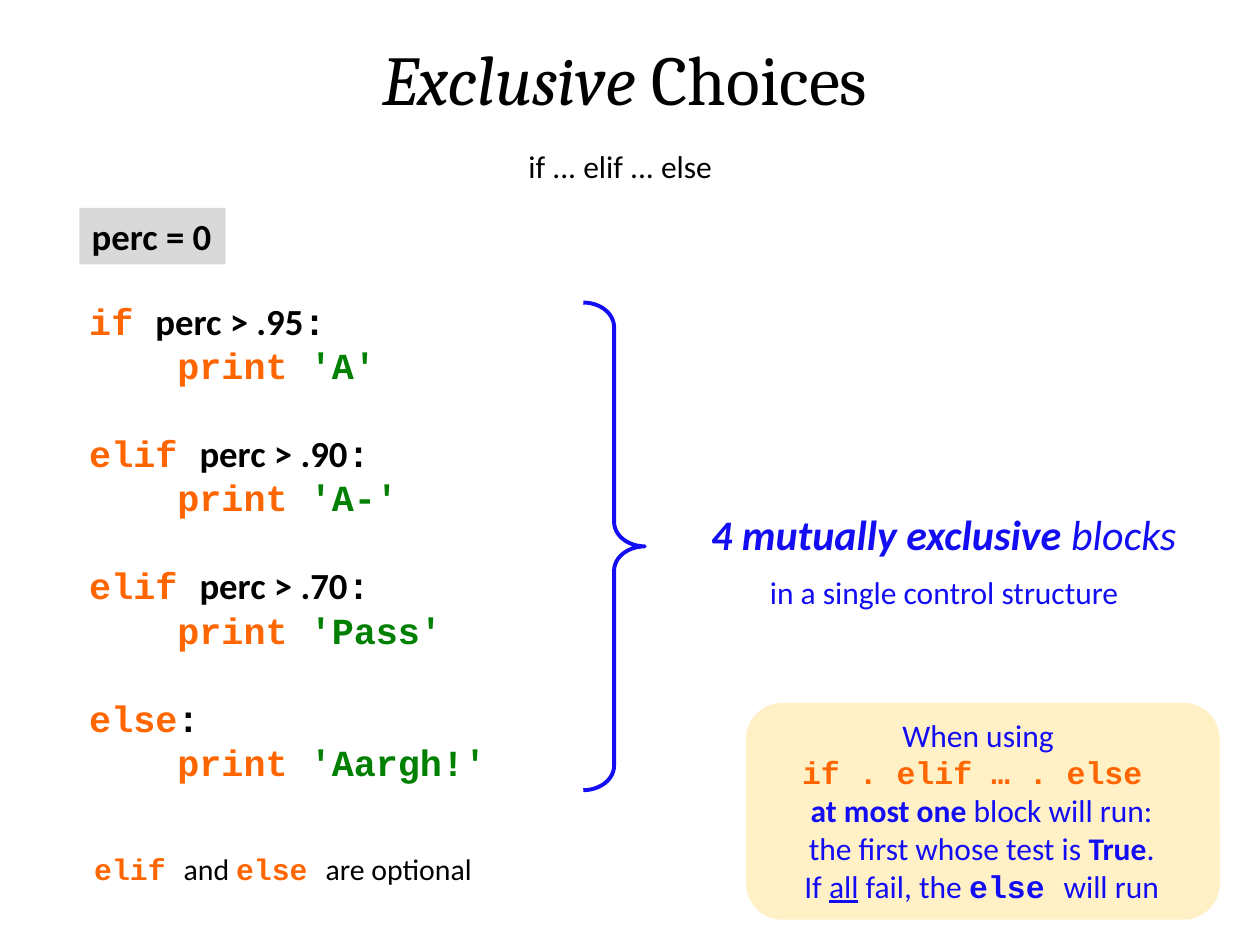
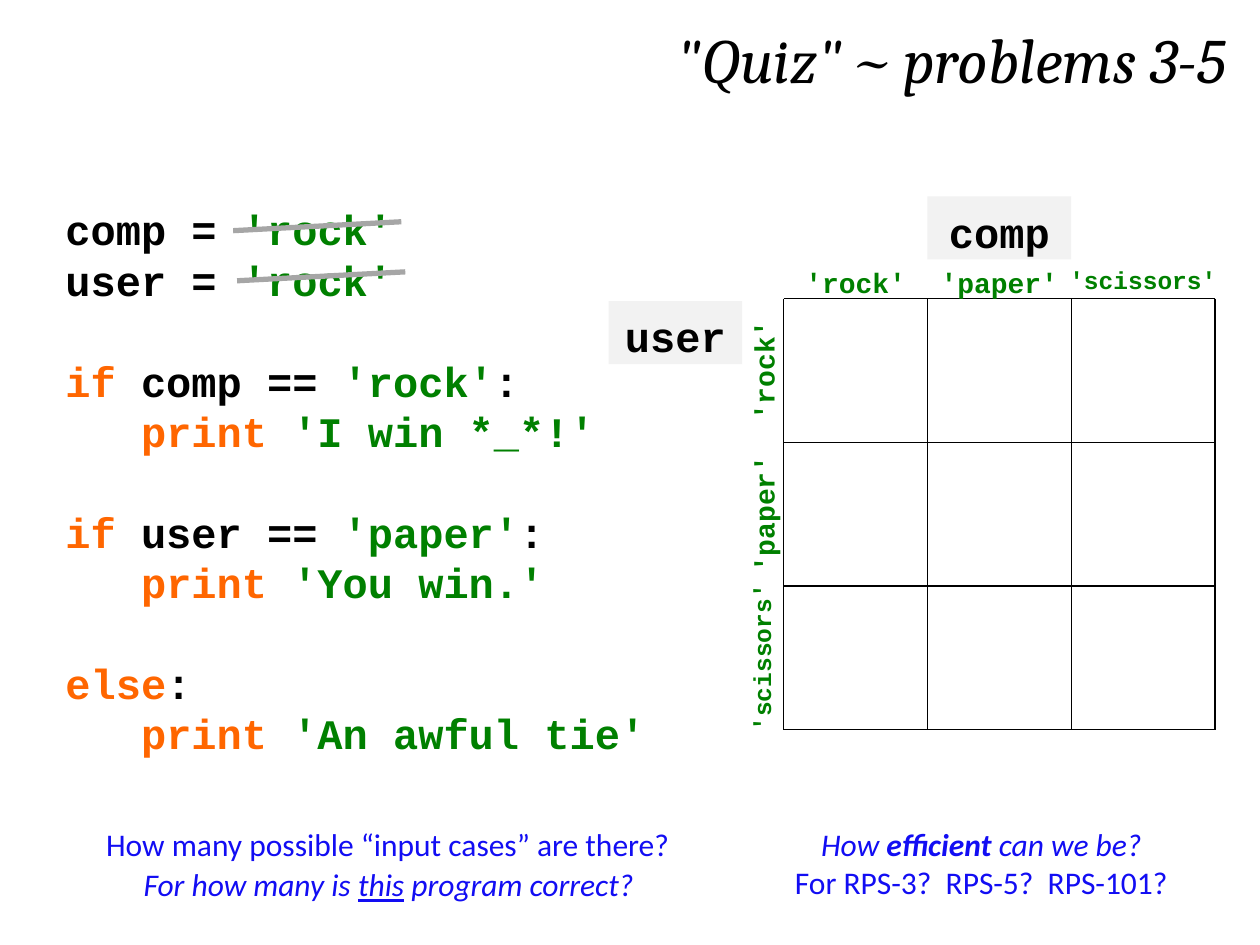
from lxml import etree
from pptx import Presentation
from pptx import util as u
from pptx.dml.color import RGBColor
from pptx.enum import shapes, text
from pptx.oxml.ns import qn

COLORS = {
    "black": "000000", "blue": "120DF3", "orange": "FF6600", "green": "008000",
    "cream": "FFF0C5", "grey": "D9D9D9", "pale": "F2F2F2", "strike": "A6A6A6",
}
MONO = "Courier New"
LEADING = 1.2
CENTER, RIGHT = text.PP_ALIGN.CENTER, text.PP_ALIGN.RIGHT
BOLD, ITALIC, UNDER = {"bold": True}, {"italic": True}, {"underline": True}
CODE = {"font": MONO, "bold": True}
KEY = {**CODE, "color": "orange"}
STR = {**CODE, "color": "green"}
NAME = {"font": "Calibri", "bold": True}
NOTE = {"size": 18, "color": "blue", "align": CENTER}
CHOICES = ["'rock'", "'paper'", "'scissors'"]


def rgb(name):
    """Return a palette colour."""
    return RGBColor.from_string(COLORS[name])


def cm(box):
    """Turn a box in centimetres into lengths."""
    return [u.Cm(v) for v in box]


def style(r, size=18, font="Calibri", color="black", bold=False, italic=False, underline=None):
    """Format one run."""
    f = r.font
    f.size, f.name, f.bold, f.italic = u.Pt(size), font, bold, italic
    f.underline = underline
    f.color.rgb = rgb(color)


def write(tf, paras, align=None, wrap=True, **fmt):
    """Fill a frame; a paragraph is a list of strings or (string, overrides)."""
    tf.word_wrap = wrap
    tf.auto_size = text.MSO_AUTO_SIZE.NONE
    tf.vertical_anchor = text.MSO_ANCHOR.TOP
    for i, runs in enumerate(paras):
        p = tf.paragraphs[0] if i == 0 else tf.add_paragraph()
        p.alignment = align or text.PP_ALIGN.LEFT
        for run in runs:
            words, extra = (run, {}) if isinstance(run, str) else run
            r = p.add_run()
            r.text = words
            style(r, **{**fmt, **extra})


def label(slide, box, paras, **fmt):
    """Add a text box."""
    sp = slide.shapes.add_textbox(*cm(box))
    write(sp.text_frame, paras, **fmt)
    return sp


def panel(slide, kind, box, fill):
    """Add a filled shape without outline."""
    sp = slide.shapes.add_shape(kind, *cm(box))
    sp.shadow.inherit = False
    sp.fill.solid()
    sp.fill.fore_color.rgb = rgb(fill)
    sp.line.fill.background()
    return sp


def line(slide, start, end, color="black", width=0.75):
    """Draw a straight line."""
    ends = cm(start + end)
    c = slide.shapes.add_connector(shapes.MSO_CONNECTOR.STRAIGHT, *ends)
    c.line.color.rgb = rgb(color)
    c.line.width = u.Pt(width)
    etree.SubElement(c._element.spPr, qn("a:effectLst"))


def mono_leading(tf, size):
    """Give code lines an even pitch."""
    tf.margin_top = u.Cm(0.2)
    for p in tf.paragraphs:
        p.line_spacing = u.Pt(size * LEADING)


def code(slide, box, blocks, size):
    """Add a listing whose blocks stand one line apart."""
    sp = label(slide, box, [ln for block in blocks for ln in block], size=size, **CODE)
    tf = sp.text_frame
    mono_leading(tf, size)
    row = 0
    for block in blocks[:-1]:
        row += len(block)
        tf.paragraphs[row].space_before = u.Pt(size * LEADING)


def mono_label(slide, box, words, size, turn=0):
    """Add a centred green string, turned if asked."""
    sp = label(slide, box, [[words]], size=size, align=CENTER, **STR)
    mono_leading(sp.text_frame, size)
    sp.rotation = turn


def tag(slide, box, words):
    """Add a pale variable tag."""
    tf = panel(slide, shapes.MSO_SHAPE.RECTANGLE, box, "pale").text_frame
    write(tf, [[words]], size=24, align=CENTER, **CODE)
    mono_leading(tf, 24)


def titled_slide(prs, box, runs, size, align):
    """Add a slide with its title."""
    slide = prs.slides.add_slide(prs.slide_layouts[5])
    t = slide.shapes.title
    t.left, t.top, t.width, t.height = cm(box)
    write(t.text_frame, [runs], size=size, font="Cambria", align=align)
    return slide


def print_line(words, indent):
    """Return an indented print statement."""
    return [(" " * indent + "print ", KEY), (words, STR)]


def brace(slide, box):
    """Draw the brace that spans the branches."""
    sp = slide.shapes.add_shape(shapes.MSO_SHAPE.RIGHT_BRACE, *cm(box))
    sp.shadow.inherit = False
    sp.fill.background()
    sp.line.color.rgb = rgb("blue")
    sp.line.width = u.Pt(2.25)
    sp.adjustments[0], sp.adjustments[1] = 0.398, 0.5


def rule_card(slide, box):
    """Add the card that says which block runs."""
    x, y, w, h = box
    panel(slide, shapes.MSO_SHAPE.ROUNDED_RECTANGLE, box, "cream")
    label(slide, (x + 0.84, y + 0.13, w - 1.73, h - 0.26), [
        ["When using "],
        [("if . elif … . else ", KEY)],
        [("at most one ", BOLD), "block will run: the first whose test is ",
         ("True", BOLD), ". If ", ("all", UNDER), " fail, the ",
         ("else ", CODE), "will run"],
    ], **NOTE)


def choice_grid(slide, box):
    """Draw the square of user choices against computer choices."""
    x, y, side = box
    n = len(CHOICES)
    step = side / n
    for i in range(n + 1):
        d = i * step
        line(slide, (x + d, y), (x + d, y + side))
        line(slide, (x, y + d), (x + side, y + d))
    w, h = 3.81, 0.94
    for i, choice in enumerate(CHOICES):
        mid = (i + 0.5) * step
        size = 14 if len(choice) > 8 else 16
        mono_label(slide, (x + mid - w / 2, y - 0.87, w, h), choice, size)
        mono_label(slide, (x - 0.48 - w / 2, y + mid - h / 2, w, h), choice, size, 270)
    tag(slide, (x + step, y - 2.06, step, 1.27), "comp")
    tag(slide, (x - 3.53, y + 0.05, 2.69, 1.27), "user")


def exclusive_choices(prs):
    """Build the slide on if, elif and else."""
    slide = titled_slide(prs, (1.7, 0.58, 21.79, 1.96),
                         [("Exclusive ", ITALIC), "Choices"], 40, CENTER)
    label(slide, (1.52, 2.84, 21.97, 1.02), [["if ... elif ... else"]], align=CENTER)
    start = panel(slide, shapes.MSO_SHAPE.RECTANGLE, (1.6, 4.19, 2.95, 1.14), "grey")
    write(start.text_frame, [["perc = 0"]], wrap=False, size=21, bold=True)
    branches = [("if ", ".95", "'A'"), ("elif ", ".90", "'A-'"), ("elif ", ".70", "'Pass'")]
    blocks = [[[(word, KEY), ("perc > " + limit, NAME), ":"], print_line(grade, 4)]
              for word, limit, grade in branches]
    blocks.append([[("else", KEY), ":"], print_line("'Aargh!'", 4)])
    code(slide, (1.55, 5.82, 9.65, 10.13), blocks, 21)
    brace(slide, (11.76, 6.1, 1.24, 9.83))
    label(slide, (13.49, 10.13, 11.07, 1.3),
          [[("4 mutually exclusive ", BOLD), "blocks"]],
          **{**NOTE, "size": 24, "italic": True})
    label(slide, (15.21, 11.43, 7.65, 1.02), [["in a single control structure"]],
          wrap=False, **NOTE)
    rule_card(slide, (15.04, 14.17, 9.55, 4.37))
    label(slide, (0.84, 17.02, 9.73, 0.99),
          [[("elif ", KEY), "and ", ("else ", KEY), "are optional"]], size=17, align=CENTER)


def quiz(prs):
    """Build the rock, paper, scissors quiz slide."""
    slide = titled_slide(prs, (1.27, 0.28, 23.7, 1.8),
                         [('"Quiz" ~ problems 3-5', ITALIC)], 36, RIGHT)
    blocks = [[[var + " = ", ("'rock'", STR)] for var in ("comp", "user")]]
    for var, choice, result in [("comp", "'rock'", "'I win *_*!'"),
                                ("user", "'paper'", "'You win.'")]:
        blocks.append([[("if", KEY), f" {var} == ", (choice, STR), ":"],
                       print_line(result, 3)])
    blocks.append([[("else", KEY), ":"], print_line("'An awful tie'", 3)])
    code(slide, (1.07, 3.91, 19.48, 11.53), blocks, 24)
    for x, y in [(4.7, 4.65), (4.78, 5.66)]:
        line(slide, (x, y), (x + 3.39, y - 0.18), "strike", 3)
    choice_grid(slide, (15.8, 6.02, 8.69))
    label(slide, (1.47, 16.51, 12.7, 1.02),
          [["How many possible “input cases” are there?"]], **NOTE)
    label(slide, (2.08, 17.32, 11.51, 1.02),
          [["For how many is ", ("this", UNDER), " program correct?"]], italic=True, **NOTE)
    label(slide, (15.44, 16.51, 8.69, 1.8), [
        [("How ", ITALIC), ("efficient", {**BOLD, **ITALIC}), (" can we be?", ITALIC)],
        ["For RPS-3?  RPS-5?  RPS-101?"],
    ], **NOTE)


def main():
    """Build both slides and save them."""
    prs = Presentation()
    prs.slide_width, prs.slide_height = u.Cm(25.4), u.Cm(19.05)
    exclusive_choices(prs)
    quiz(prs)
    prs.save("out.pptx")


if __name__ == "__main__":
    main()
